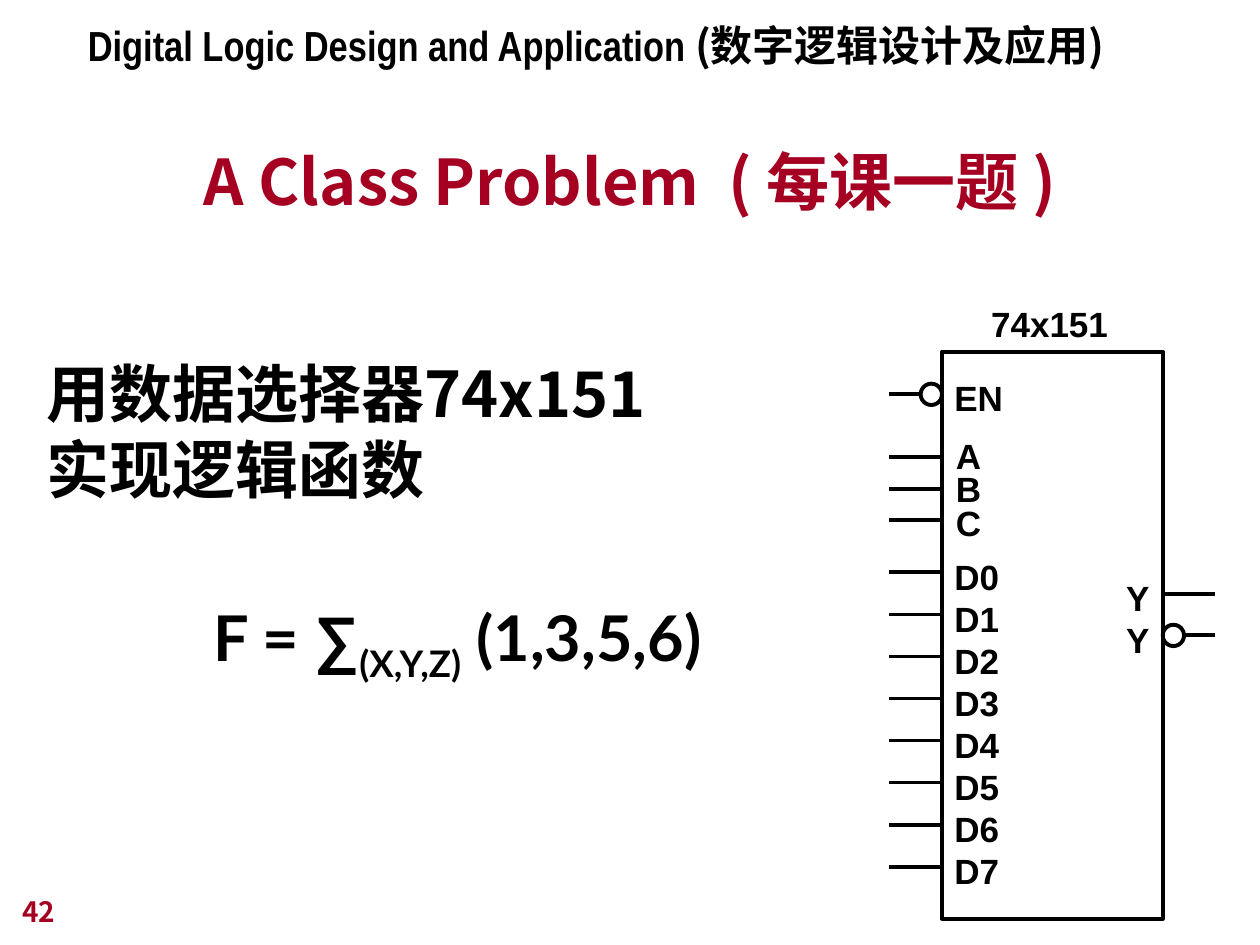
from lxml.etree import SubElement
from pptx import Presentation
from pptx.dml.color import RGBColor
from pptx.enum.shapes import MSO_CONNECTOR, MSO_SHAPE
from pptx.enum.text import MSO_ANCHOR, MSO_AUTO_SIZE, PP_ALIGN
from pptx.oxml.ns import qn
from pptx.util import Cm, Pt

COLORS = {"ink": "000000", "accent": "A50021"}
CJK = "Noto Sans CJK JP"
LINE_WIDTH = Pt(2.25)
PIN = 1.06
BUBBLE = 0.43


def add_span(para, text, font, size, color, baseline):
    span = para.add_run()
    span.text = text
    span.font.name = font
    span.font.size = Pt(size)
    span.font.bold = True
    span.font.color.rgb = RGBColor.from_string(COLORS[color])
    properties = span.font._element
    SubElement(properties, qn("a:ea")).set("typeface", font)
    if baseline:
        properties.set("baseline", str(baseline * 1000))


def add_text(page, area, paragraphs, font=CJK, size=36, color="ink", align=PP_ALIGN.LEFT,
             anchor=MSO_ANCHOR.TOP, spacing=None, wrap=False):
    box = page.shapes.add_textbox(*map(Cm, area))
    frame = box.text_frame
    frame.word_wrap = wrap
    frame.auto_size = MSO_AUTO_SIZE.NONE if wrap else MSO_AUTO_SIZE.SHAPE_TO_FIT_TEXT
    frame.vertical_anchor = anchor
    for index, content in enumerate(paragraphs):
        para = frame.add_paragraph() if index else frame.paragraphs[0]
        para.alignment = align
        if spacing:
            para.line_spacing = spacing
        spans = [(content, font, 0)] if isinstance(content, str) else content
        for text, span_font, baseline in spans:
            for row, part in enumerate(text.split("\n")):
                if row:
                    para.add_line_break()
                add_span(para, part, span_font, size, color, baseline)


def add_outline(page, kind, area):
    shape = page.shapes.add_shape(kind, *map(Cm, area))
    shape.shadow.inherit = False
    shape.fill.background()
    shape.line.color.rgb = RGBColor.from_string(COLORS["ink"])
    shape.line.width = LINE_WIDTH


def add_pin(page, start, end, y):
    pin = page.shapes.add_connector(MSO_CONNECTOR.STRAIGHT, Cm(start), Cm(y), Cm(end), Cm(y))
    pin.line.color.rgb = RGBColor.from_string(COLORS["ink"])
    pin.line.width = LINE_WIDTH
    SubElement(pin._element.spPr, qn("a:effectLst"))


def add_bubble(page, left, y):
    add_outline(page, MSO_SHAPE.OVAL, (left, y - BUBBLE / 2, BUBBLE, BUBBLE))


def add_headings(page, left, top, width):
    course = [("Digital Logic Design and Application ", "Arial Narrow", 0),
              ("(数字逻辑设计及应用)", CJK, 0)]
    add_text(page, (left, top, width, 1.27), [course], size=24, wrap=True)
    add_text(page, (left + 0.39, top + 2.14, 21.59, 2.11), ["A Class Problem  ( 每课一题 )"],
             color="accent", align=PP_ALIGN.CENTER, anchor=MSO_ANCHOR.BOTTOM, wrap=True)


def add_problem(page, left, top, width):
    add_text(page, (left, top, width, 4.39), ["用数据选择器74x151\n实现逻辑函数"],
             anchor=MSO_ANCHOR.BOTTOM, wrap=True)
    formula = [("F = ", "Lato", 0), ("∑", "Arial", 0),
               ("(X,Y,Z)", "Lato", -25), (" (1,3,5,6)", "Lato", 0)]
    add_text(page, (left + 3.36, top + 5.14, 10.95, 2.87), [formula], spacing=1.5)


def add_multiplexer(page, left, top, width, height):
    right = left + width
    label = {"font": "Arial", "size": 20}
    add_outline(page, MSO_SHAPE.RECTANGLE, (left, top, width, height))
    add_text(page, (left + 0.74, top - 1.12, 2.87, 1.12), ["74x151"], **label)

    add_text(page, (left, top + 0.3, 1.5, 1.19), ["EN"], spacing=1.1, **label)
    add_text(page, (left + 0.03, top + 1.7, 1.02, 2.29), list("ABC"), spacing=0.8, **label)
    add_text(page, (left, top + 3.98, 1.45, 7.04), [f"D{i}" for i in range(8)], **label)
    add_text(page, (left + 3.46, top + 4.4, 0.98, 1.96), ["Y", "Y"], **label)

    enable, output, inverted = top + 0.86, top + 4.88, top + 5.72
    add_bubble(page, left - BUBBLE, enable)
    add_pin(page, left - BUBBLE, left - PIN, enable)
    for first, last, count in ((2.13, 3.4, 3), (4.45, 10.38, 8)):
        step = (last - first) / (count - 1)
        for index in range(count):
            add_pin(page, left, left - PIN, top + first + index * step)
    add_pin(page, right, right + PIN, output)
    add_bubble(page, right, inverted)
    add_pin(page, right + BUBBLE, right + PIN, inverted)


def add_page_number(page, left, top):
    add_text(page, (left, top, 5.28, 1.27), ["42"], size=16, color="accent",
             anchor=MSO_ANCHOR.BOTTOM, wrap=True)


def main():
    deck = Presentation()
    deck.slide_width, deck.slide_height = Cm(25.4), Cm(19.05)
    page = deck.slides.add_slide(deck.slide_layouts[6])
    add_problem(page, 0.69, 5.94, 14.2)
    add_headings(page, 1.52, 0.27, 21.36)
    add_multiplexer(page, 18.99, 7.09, 4.45, 11.43)
    add_page_number(page, 0.2, 17.57)
    deck.save("out.pptx")


if __name__ == "__main__":
    main()
